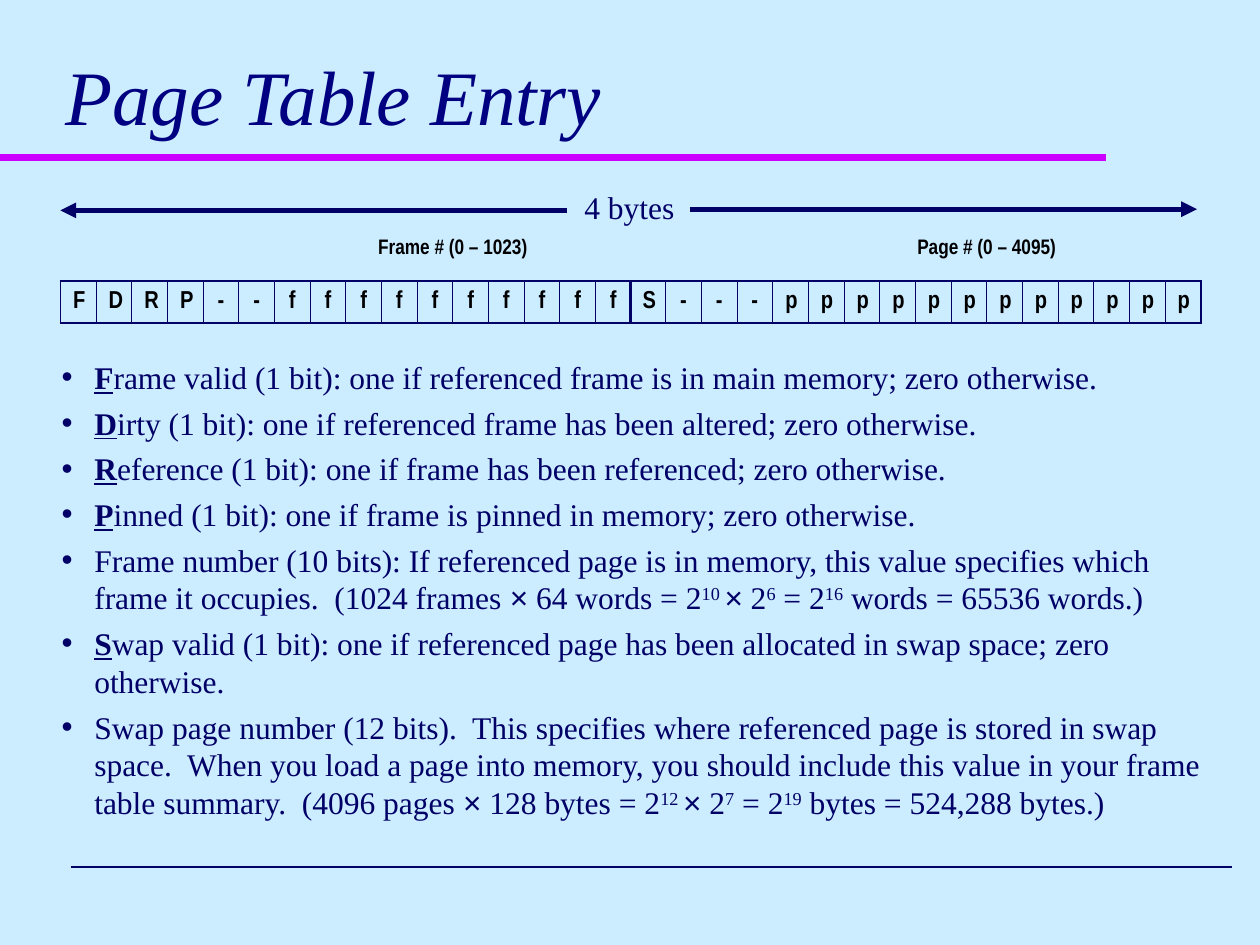
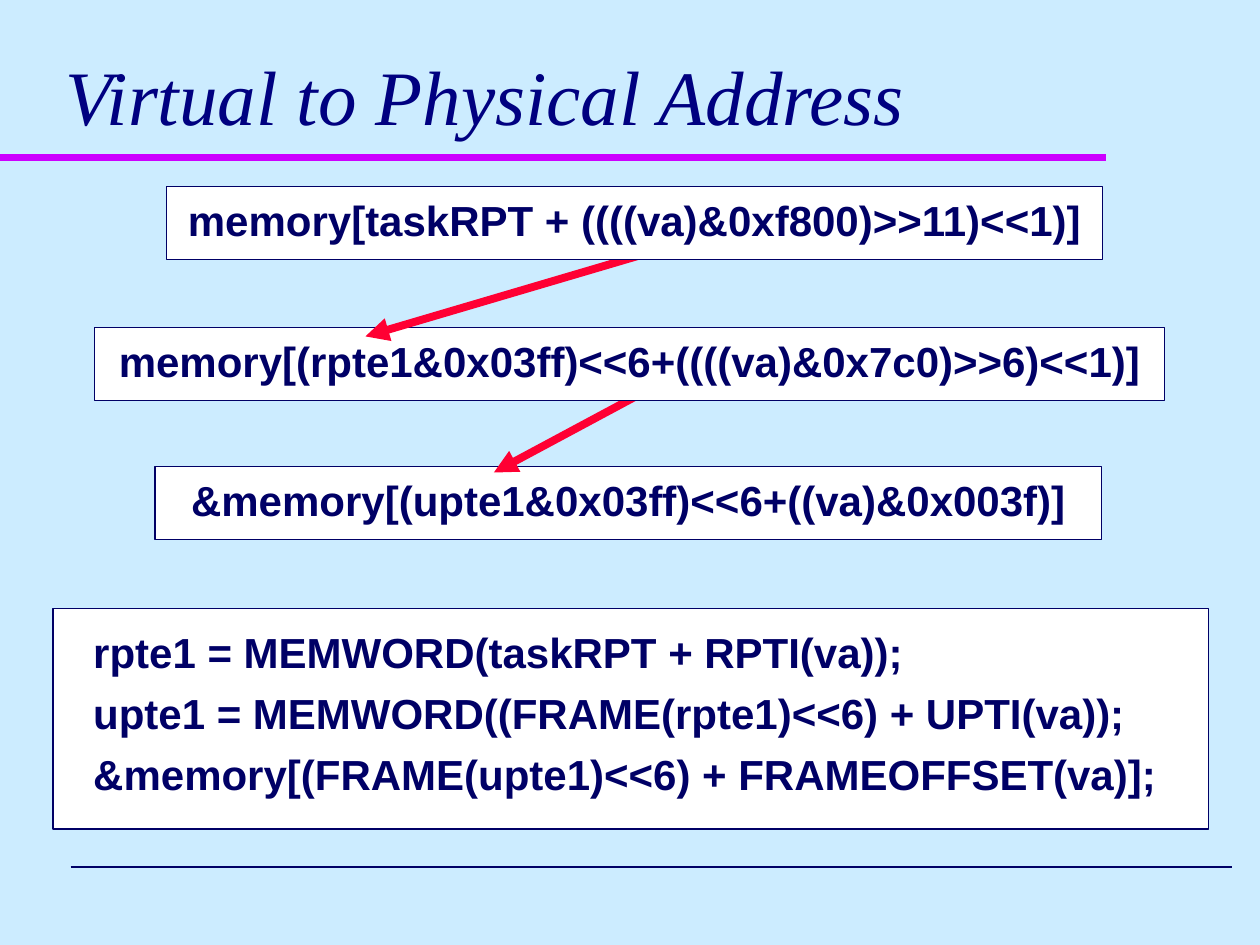
from lxml import etree
from pptx import Presentation
from pptx.dml.color import RGBColor
from pptx.enum import shapes, text
from pptx.oxml import ns
from pptx.util import Inches, Pt

COLORS = {
    "sky": "CCECFF", "navy": "000066", "title": "000080", "magenta": "CC00FF",
    "red": "FF0033", "white": "FFFFFF", "black": "000000",
}
SERIF = {"name": "Times New Roman", "size": Pt(18), "color": "navy"}
TITLE = SERIF | {"size": Pt(44), "color": "title", "italic": True}
INITIAL = SERIF | {"bold": True, "underline": True}
TIMES_SIGN = SERIF | {"name": "Arial"}
CODE = {"name": "Arial", "size": Pt(24), "color": "navy", "bold": True}
BIT = {"name": "Arial Narrow", "size": Pt(14), "color": "black", "bold": True}
BIT_HEADING = BIT | {"size": Pt(12)}

FRAME_BITS = "FDRP--" + "f" * 10
PAGE_BITS = "S---" + "p" * 12
FLAGS = [
    "Frame valid (1 bit): one if referenced frame is in main memory; zero otherwise.",
    "Dirty (1 bit): one if referenced frame has been altered; zero otherwise.",
    "Reference (1 bit): one if frame has been referenced; zero otherwise.",
    "Pinned (1 bit): one if frame is pinned in memory; zero otherwise.",
]
SWAP_FLAG = (
    "Swap valid (1 bit): one if referenced page has been allocated in swap space; "
    "zero otherwise."
)
FRAME_NUMBER = (
    "Frame number (10 bits): If referenced page is in memory, this value specifies "
    "which frame it occupies.  (1024 frames "
)
SWAP_NUMBER = (
    "Swap page number (12 bits).  This specifies where referenced page is stored in "
    "swap space.  When you load a page into memory, you should include this value in "
    "your frame table summary.  (4096 pages "
)
ADDRESS_STEPS = [
    ((1.32, 1.48, 7.43, 0.58), "memory[taskRPT + ((((va)&0xf800)>>11)<<1)]"),
    ((0.75, 2.6, 8.49, 0.58), "memory[(rpte1&0x03ff)<<6+((((va)&0x7c0)>>6)<<1)]"),
    ((1.23, 3.7, 7.51, 0.58), "&memory[(upte1&0x03ff)<<6+((va)&0x003f)]"),
]
STEP_ARROWS = [None, ((5.17, 2), (2.9, 2.67)), ((5.17, 3.08), (3.92, 3.75))]
MACRO_CODE = [
    "rpte1 = MEMWORD(taskRPT + RPTI(va));",
    "upte1 = MEMWORD((FRAME(rpte1)<<6) + UPTI(va));",
    "&memory[(FRAME(upte1)<<6) + FRAMEOFFSET(va)];",
]


def rgb(name):
    """Return the named colour."""
    return RGBColor.from_string(COLORS[name])


def set_values(target, values):
    """Set each named attribute on the target."""
    for name, value in values.items():
        setattr(target, name, value)


def add_run(p, string, style, baseline=None):
    """Append a formatted run, raised by a baseline if given."""
    r = p.add_run()
    r.text = string
    set_values(r.font, {k: v for k, v in style.items() if k != "color"})
    r.font.color.rgb = rgb(style["color"])
    if baseline:
        r.font._element.set("baseline", str(baseline))


def set_frame(tf, insets=(0.1, 0.05, 0.1, 0.05), **values):
    """Set the insets and layout of a text frame."""
    sides = ("margin_left", "margin_top", "margin_right", "margin_bottom")
    set_values(tf, dict(zip(sides, map(Inches, insets))) | values)
    return tf


def add_text(s, box, insets=(0.1, 0.05, 0.1, 0.05), **values):
    """Add a wrapping text box and return its frame."""
    sp = s.shapes.add_textbox(*map(Inches, box))
    return set_frame(sp.text_frame, insets, word_wrap=True, **values)


def add_line(s, start, end, color, width, arrow=False):
    """Draw a straight line, with an arrowhead at its end if asked."""
    points = map(Inches, (*start, *end))
    cx = s.shapes.add_connector(shapes.MSO_CONNECTOR.STRAIGHT, *points)
    cx.line.color.rgb = rgb(color)
    cx.line.width = Pt(width)
    if arrow:
        ln = cx.line._get_or_add_ln()
        etree.SubElement(ln, ns.qn("a:tailEnd"), type="triangle")
    etree.SubElement(cx._element.spPr, ns.qn("a:effectLst"))


def add_slide(prs, title):
    """Add a slide with the shared background, rules and title."""
    s = prs.slides.add_slide(prs.slide_layouts[6])
    s.background.fill.solid()
    s.background.fill.fore_color.rgb = rgb("sky")
    add_line(s, (0, 1.25), (8.78, 1.25), "magenta", 4)
    add_line(s, (0.56, 6.88), (9.78, 6.88), "navy", 1)
    tf = add_text(s, (0.42, 0.17, 9.25, 1), vertical_anchor=text.MSO_ANCHOR.BOTTOM)
    add_run(tf.paragraphs[0], title, TITLE)
    return s


def add_code_box(s, box, lines, insets=(0.1, 0.05, 0.1, 0.05), **values):
    """Add a white outlined box holding lines of code."""
    sp = s.shapes.add_shape(shapes.MSO_SHAPE.RECTANGLE, *map(Inches, box))
    sp.shadow.inherit = False
    sp.fill.solid()
    sp.fill.fore_color.rgb = rgb("white")
    sp.line.color.rgb = rgb("navy")
    sp.line.width = Pt(0.75)
    tf = set_frame(sp.text_frame, insets, word_wrap=False)
    for i, line in enumerate(lines):
        p = tf.add_paragraph() if i else tf.paragraphs[0]
        add_run(p, line, CODE)
        set_values(p, values | ({"space_before": Pt(6)} if i else {}))
    return tf


def set_borders(cell, **widths):
    """Give the cell navy borders, with none on sides left out."""
    tcPr = cell._tc.get_or_add_tcPr()
    for i, side in enumerate("LRTB"):
        width = widths.get(side)
        ln = etree.Element(ns.qn(f"a:ln{side}"), w=str(Pt(width or 0)))
        fill = etree.SubElement(ln, ns.qn("a:solidFill" if width else "a:noFill"))
        if width:
            etree.SubElement(fill, ns.qn("a:srgbClr"), val=COLORS["navy"])
        tcPr.insert(i, ln)


def add_bit_table(s, left, heading, bits, first):
    """Add a row of bits, its heading merged from the first numbered bit."""
    size = map(Inches, (left, 1.73, 4.53, 0.62))
    gf = s.shapes.add_table(2, len(bits), *size)
    table = gf.table
    set_values(table, {"first_row": False, "horz_banding": False})
    last = len(bits) - 1
    for i, bit in enumerate(bits):
        top, low = table.cell(0, i), table.cell(1, i)
        set_borders(top, B=1.08)
        set_borders(low, T=1.08, B=1.08, L=0.45 if i else 1.08,
                    R=1.08 if i == last else 0.45)
        for cell in (top, low):
            cell.fill.background()
            cell.vertical_anchor = text.MSO_ANCHOR.MIDDLE
            cell.text_frame.paragraphs[0].alignment = text.PP_ALIGN.CENTER
        add_run(low.text_frame.paragraphs[0], bit, BIT)
        if i < first:
            p = top.text_frame.paragraphs[0]
            etree.SubElement(p._p, ns.qn("a:endParaRPr"), sz="2400")
    table.cell(0, first).merge(table.cell(0, last))
    add_run(table.cell(0, first).text_frame.paragraphs[0], heading, BIT_HEADING)


def flag_runs(sentence):
    """Split a flag description into its marked initial and the rest."""
    return [(sentence[0], INITIAL), (sentence[1:], SERIF)]


def size_runs(intro, unit, powers, result):
    """Build a description ending in a product of powers of two."""
    a, b, c = powers
    return [
        (intro, SERIF), ("×", TIMES_SIGN), (f" {unit} = 2", SERIF),
        (f"{a} ", SERIF, 30000), ("×", TIMES_SIGN), (" 2", SERIF),
        (str(b), SERIF, 30000), (" = 2", SERIF), (str(c), SERIF, 30000),
        (result, SERIF),
    ]


def add_bullets(s, box, items):
    """Add a bulleted list, each item a list of runs."""
    tf = add_text(s, box, (0.1, 0, 0.1, 0))
    for i, runs in enumerate(items):
        p = tf.add_paragraph() if i else tf.paragraphs[0]
        pPr = p._p.get_or_add_pPr()
        pPr.set("marL", str(Inches(0.26)))
        pPr.set("indent", str(-Inches(0.26)))
        etree.SubElement(pPr, ns.qn("a:buFont"), typeface="Arial")
        etree.SubElement(pPr, ns.qn("a:buChar"), char="•")
        if i:
            p.space_before = Pt(4.5)
        for run in runs:
            add_run(p, *run)


def build_entry(prs):
    """Build the slide on the layout of a page table entry."""
    s = add_slide(prs, "Page Table Entry")
    add_line(s, (4.5, 1.67), (0.48, 1.67), "navy", 3, arrow=True)
    add_bullets(s, (0.39, 2.84, 9.31, 3.68), [
        *map(flag_runs, FLAGS),
        size_runs(FRAME_NUMBER, "64 words", (10, 6, 16), " words = 65536 words.)"),
        flag_runs(SWAP_FLAG),
        size_runs(SWAP_NUMBER, "128 bytes", (12, 7, 19), " bytes = 524,288 bytes.)"),
    ])
    add_bit_table(s, 5, "Page # (0 – 4095)", PAGE_BITS, 4)
    add_bit_table(s, 0.48, "Frame # (0 – 1023)", FRAME_BITS, 6)
    p = add_text(s, (4.32, 1.44, 1.35, 0.4)).paragraphs[0]
    p.alignment = text.PP_ALIGN.CENTER
    add_run(p, "4 bytes", SERIF)
    add_line(s, (5.48, 1.66), (9.5, 1.66), "navy", 3, arrow=True)


def build_address(prs):
    """Build the slide on address translation, last step at the back."""
    s = add_slide(prs, "Virtual to Physical Address")
    for (box, code), arrow in reversed(list(zip(ADDRESS_STEPS, STEP_ARROWS))):
        tf = add_code_box(s, box, [code], alignment=text.PP_ALIGN.CENTER,
                          line_spacing=0.9)
        tf.vertical_anchor = text.MSO_ANCHOR.MIDDLE
        if arrow:
            add_line(s, *arrow, "red", 4.5, arrow=True)
    tf = add_code_box(s, (0.42, 4.83, 9.17, 1.75), MACRO_CODE,
                      (0.32, 0.14, 0.1, 0.05), alignment=text.PP_ALIGN.LEFT)
    tf.vertical_anchor = text.MSO_ANCHOR.TOP


def main():
    """Build and save the presentation."""
    prs = Presentation()
    set_values(prs, {"slide_width": Inches(10), "slide_height": Inches(7.5)})
    build_entry(prs)
    build_address(prs)
    prs.save("out.pptx")


if __name__ == "__main__":
    main()
